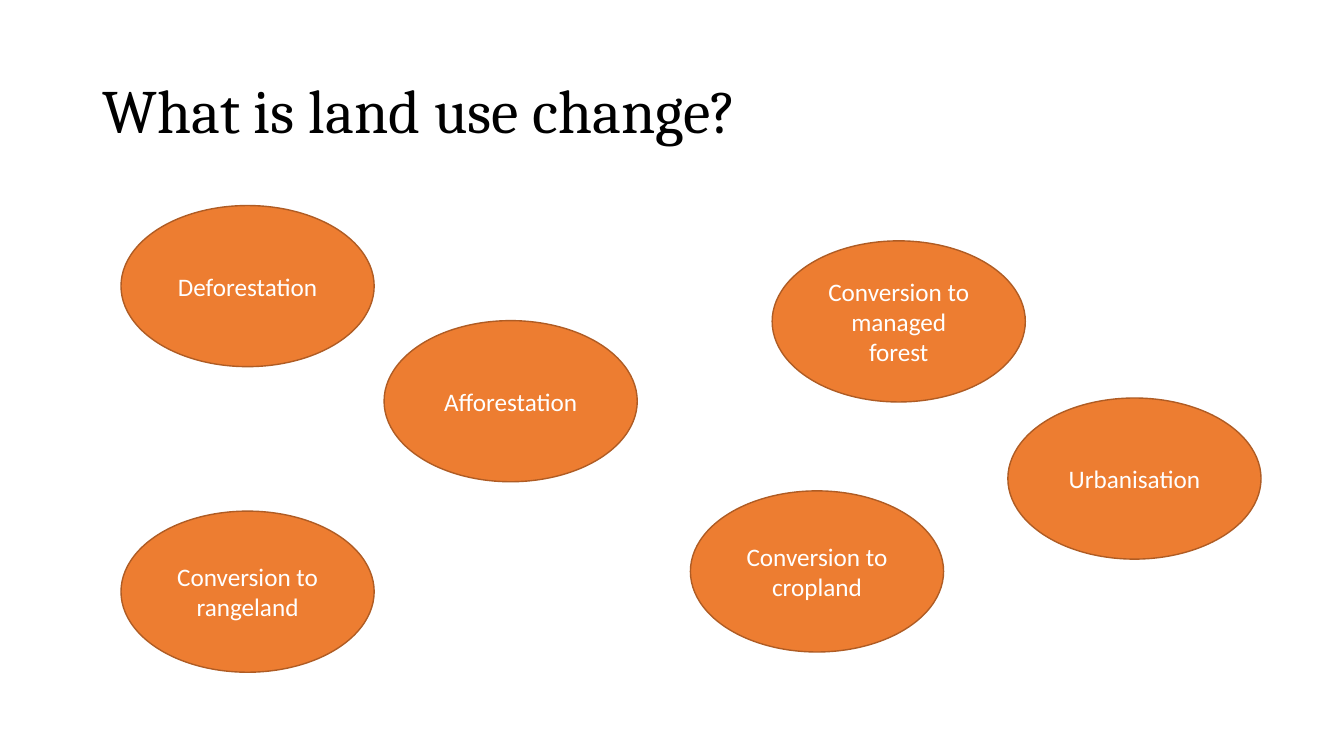
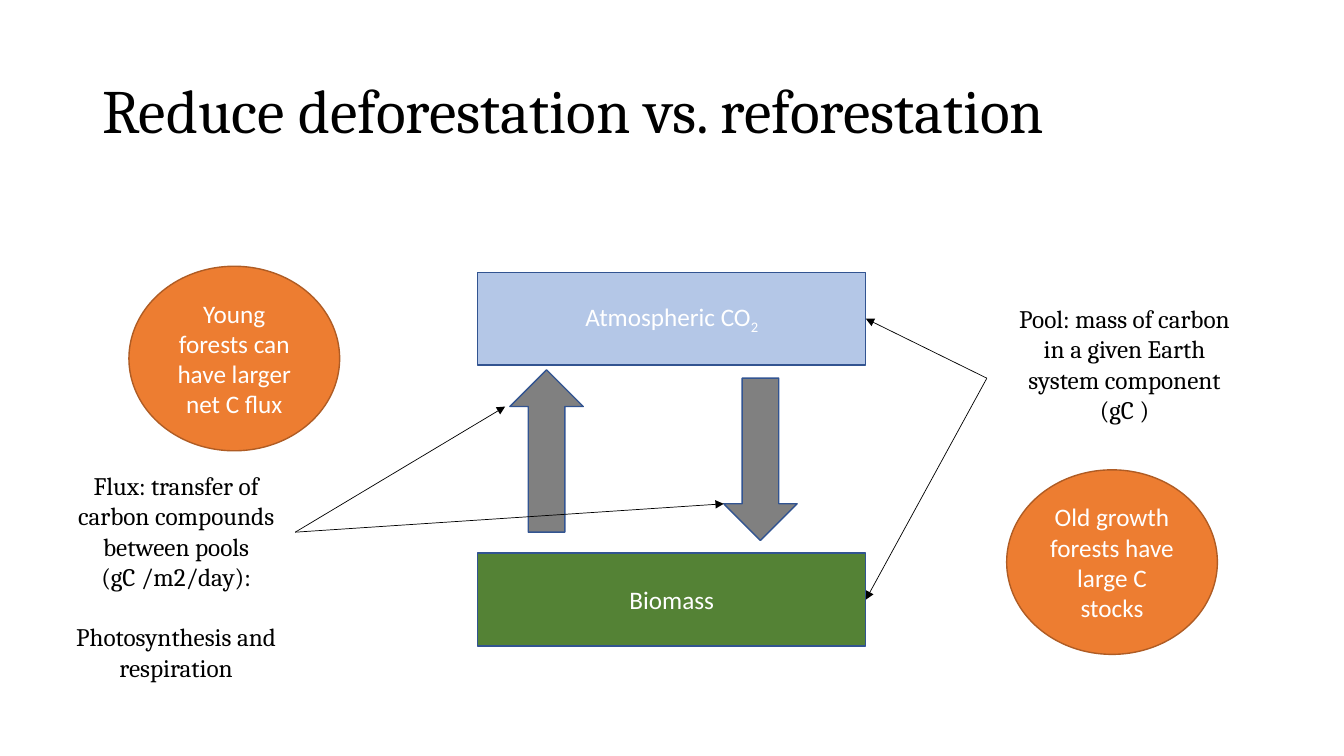
from collections import namedtuple

from lxml import etree
from pptx import Presentation
from pptx.dml.color import RGBColor
from pptx.enum.shapes import MSO_CONNECTOR, MSO_SHAPE
from pptx.enum.text import MSO_ANCHOR, PP_ALIGN
from pptx.oxml.ns import qn
from pptx.util import Cm, Pt

OVAL, RECT = MSO_SHAPE.OVAL, MSO_SHAPE.RECTANGLE
UP, DOWN = MSO_SHAPE.UP_ARROW, MSO_SHAPE.DOWN_ARROW
STRAIGHT = MSO_CONNECTOR.STRAIGHT
LEFT, CENTER = PP_ALIGN.LEFT, PP_ALIGN.CENTER
TOP, MIDDLE = MSO_ANCHOR.TOP, MSO_ANCHOR.MIDDLE

BLACK = RGBColor(0x00, 0x00, 0x00)
WHITE = RGBColor(0xFF, 0xFF, 0xFF)
ORANGE = RGBColor(0xED, 0x7D, 0x31)
RUST = RGBColor(0xAF, 0x5C, 0x24)
SKY = RGBColor(0xB4, 0xC7, 0xE7)
NAVY = RGBColor(0x32, 0x54, 0x91)
GREEN = RGBColor(0x54, 0x82, 0x35)
GRAY = RGBColor(0x80, 0x80, 0x80)

SERIF, SANS = "Cambria", "Calibri"

# All box values are centimetres.
Box = namedtuple("Box", "x y w h")
TITLE = Box(2.33, 1.02, 29.21, 3.68)


def cms(values):
    return [Cm(value) for value in values]


def write(frame, *lines, size=18, face=SERIF, color=BLACK, align=CENTER,
          anchor=TOP, pitch=None, gap=0, sub=None):
    """Fill a frame; gap goes before the last line, sub ends it lowered."""
    frame.word_wrap = True
    frame.vertical_anchor = anchor
    for i, line in enumerate(lines):
        para = frame.paragraphs[0] if i == 0 else frame.add_paragraph()
        para.alignment = align
        if pitch:
            para.line_spacing = pitch
        font = para.font
        font.size, font.name = Pt(size), face
        font.color.rgb = color
        para.add_run().text = line
    if gap:
        para.space_before = Pt(gap)
    if sub:
        run = para.add_run()
        run.text = sub
        run._r.get_or_add_rPr().set("baseline", "-25000")


def label(slide, box, *lines, **style):
    area = slide.shapes.add_textbox(*cms(box))
    write(area.text_frame, *lines, **style)


def block(slide, kind, box, fill, edge, text=None, sub=None):
    shape = slide.shapes.add_shape(kind, *cms(box))
    shape.shadow.inherit = False
    shape.fill.solid()
    shape.fill.fore_color.rgb = fill
    shape.line.color.rgb = edge
    shape.line.width = Pt(1)
    if text:
        write(shape.text_frame, text, face=SANS, color=WHITE,
              anchor=MIDDLE, sub=sub)


def bubble(slide, box, text):
    block(slide, OVAL, box, ORANGE, RUST, text)


def fan(slide, start, ends):
    """Draw arrows from one point to several."""
    for end in ends:
        line = slide.shapes.add_connector(STRAIGHT, *cms(start + end))
        line.line.color.rgb = BLACK
        line.line.width = Pt(0.5)
        props = line._element.spPr
        tip = etree.SubElement(props.find(qn("a:ln")), qn("a:tailEnd"))
        tip.set("type", "triangle")
        etree.SubElement(props, qn("a:effectLst"))


def page(deck, title):
    slide = deck.slides.add_slide(deck.slide_layouts[6])
    label(slide, TITLE, title, size=44, align=LEFT, anchor=MIDDLE, pitch=0.9)
    return slide


def cloud(slide, box):
    wide, high = 6.38, 4.06
    kinds = [
        ("Deforestation", 0, 0),
        ("Afforestation", 6.63, 2.9),
        ("Conversion to cropland", 14.35, 7.19),
        ("Conversion to managed forest", 16.41, 0.89),
        ("Conversion to rangeland", 0, box.h - high),
        ("Urbanisation", box.w - wide, 4.85),
    ]
    for text, dx, dy in kinds:
        bubble(slide, Box(box.x + dx, box.y + dy, wide, high), text)


def cycle(slide, box):
    """Draw both pools and their fluxes; return the points to annotate."""
    high = 2.34
    air = Box(box.x, box.y, box.w, high)
    land = air._replace(y=box.y + box.h - high)
    rise = Box(box.x + 0.81, box.y + 2.46, 1.85, 4.09)
    fall = rise._replace(x=box.x + 6.2, y=box.y + 2.67)
    block(slide, RECT, air, SKY, NAVY, "Atmospheric CO", sub="2")
    block(slide, RECT, land, GREEN, NAVY, "Biomass")
    block(slide, UP, rise, GRAY, NAVY)
    block(slide, DOWN, fall, GRAY, NAVY)
    pools = [(pool.x + pool.w, pool.y + high / 2) for pool in (air, land)]
    head = rise.w / 2
    fluxes = [(rise.x - 0.12, rise.y + head),
              (fall.x, fall.y + fall.h - head)]
    return pools, fluxes


def flux(slide, box, ends):
    fan(slide, (box.x + box.w, box.y + 6.7), ends)
    label(slide, Box(box.x, box.y + 5.02, 5.94, 5.64),
          "Flux: transfer of carbon compounds between pools",
          "(gC /m2/day):", "Photosynthesis and respiration", gap=21.6)
    bubble(slide, Box(box.x + 1.78, box.y, 5.31, 4.65),
           "Young forests can have larger net C flux")


def pool(slide, box, ends):
    fan(slide, (box.x - 0.5, box.y + 2.01), ends)
    label(slide, Box(box.x, box.y, box.w, 4.11),
          "Pool: mass of carbon in a given Earth system component", "(gC )")
    bubble(slide, Box(box.x, box.y + 4.32, 5.31, 4.65),
           "Old growth forests have large C stocks")


def main():
    deck = Presentation()
    deck.slide_width, deck.slide_height = Cm(33.87), Cm(19.05)

    slide = page(deck, "What is land use change?")
    cloud(slide, Box(3.05, 5.18, 28.73, 11.76))

    slide = page(deck, "Reduce deforestation vs. reforestation")
    pools, fluxes = cycle(slide, Box(12.04, 6.86, 9.78, 9.42))
    pool(slide, Box(25.37, 7.52, 5.94, 8.97), pools)
    flux(slide, Box(1.47, 6.71, 5.97, 10.66), fluxes)

    deck.save("out.pptx")


if __name__ == "__main__":
    main()
